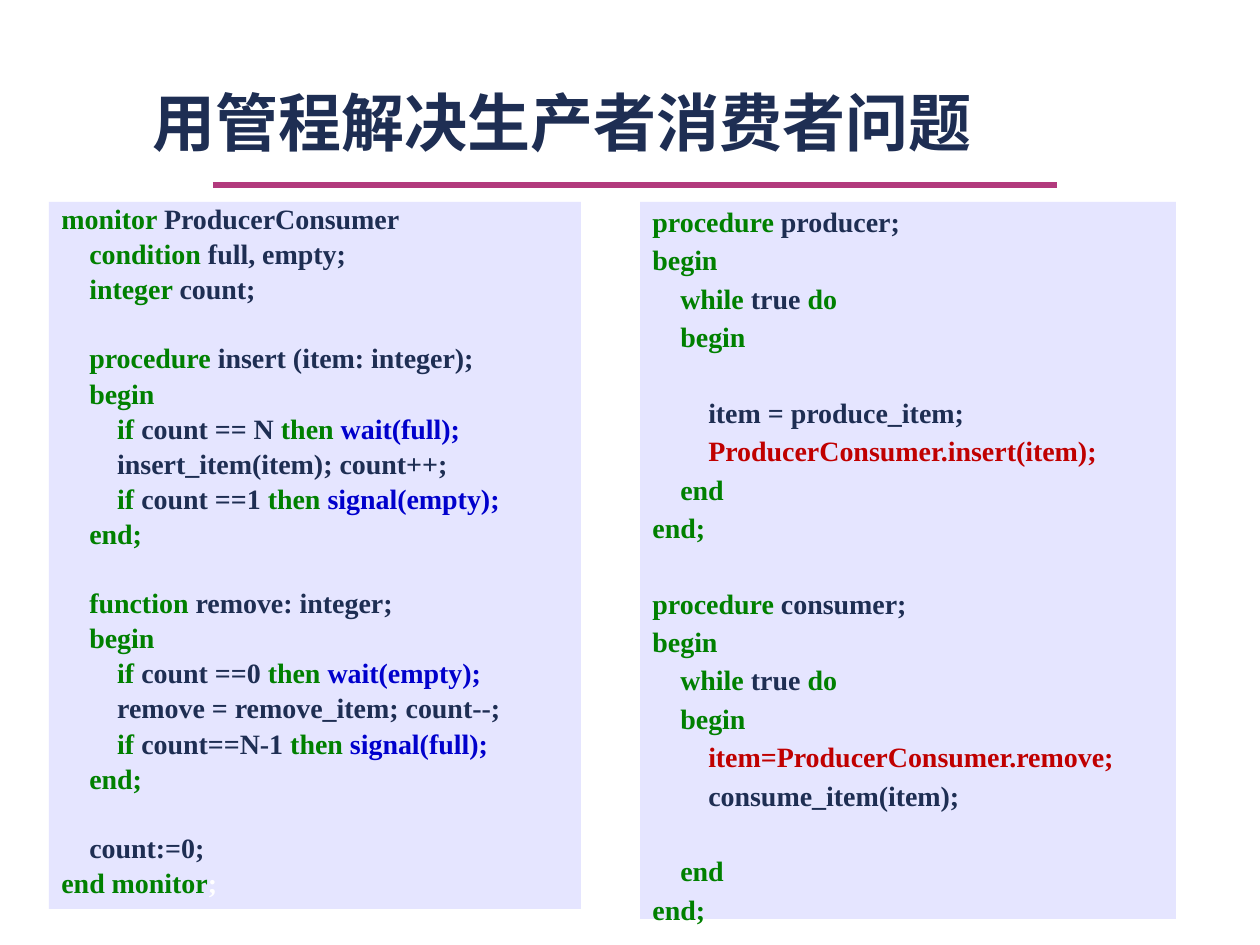
import pptx
import pptx.util
import pptx.dml.color
import pptx.enum.text
import pptx.enum.shapes
from lxml import etree

KEY, INK, CALL, RED, PALE = "008000", "1E2E53", "0000CC", "C00000", "FFFFFF"
TITLE = "用管程解决生产者消费者问题"
GAP = ()
MONITOR = [
    (KEY, "monitor ", INK, "ProducerConsumer"),
    (KEY, "    condition ", INK, "full, empty;"),
    (KEY, "    integer ", INK, "count;"),
    GAP,
    (KEY, "    procedure ", INK, "insert (item: integer);"),
    (KEY, "    begin"),
    (KEY, "        if ", INK, "count == N ", KEY, "then ", CALL, "wait(full);"),
    (INK, "        insert_item(item); count++;"),
    (KEY, "        if ", INK, "count ==1 ", KEY, "then ", CALL, "signal(empty);"),
    (KEY, "    end;"),
    GAP,
    (KEY, "    function", INK, " remove: integer;"),
    (KEY, "    begin"),
    (KEY, "        if ", INK, "count ==0 ", KEY, "then ", CALL, "wait(empty);"),
    (INK, "        remove = remove_item; count--;"),
    (KEY, "        if ", INK, "count==N-1 ", KEY, "then ", CALL, "signal(full);"),
    (KEY, "    end;"),
    GAP,
    (INK, "    count:=0;"),
    (KEY, "end monitor", PALE, ";"),
]
LOOP = [
    (KEY, "begin"),
    (KEY, "    while ", INK, "true ", KEY, "do"),
    (KEY, "    begin"),
]
CLOSE = [(KEY, "    end"), (KEY, "end;")]
CLIENTS = [
    (KEY, "procedure ", INK, "producer;"),
    *LOOP,
    GAP,
    (INK, "        item = produce_item;"),
    (RED, "        ProducerConsumer.insert(item);"),
    *CLOSE,
    GAP,
    (KEY, "procedure ", INK, "consumer;"),
    *LOOP,
    (RED, "        item=ProducerConsumer.remove;"),
    (INK, "        consume_item(item);"),
    GAP,
    *CLOSE,
]
PANELS = [
    ((49, 202, 532, 707), 0.8, 19.4, MONITOR),
    ((640, 202, 536, 717), 0.9, 21.2, CLIENTS),
]

Pt = pptx.util.Pt
ANCHOR = pptx.enum.text.MSO_ANCHOR
ALIGN = pptx.enum.text.PP_ALIGN


def px(*nums):
    return [round(n * 914400 / 126) for n in nums]


def hue(code):
    return pptx.dml.color.RGBColor.from_string(code)


def style(font, face, size, code):
    font.name, font.size, font.bold = face, Pt(size), True
    font.color.rgb = hue(code)


def add_title(slide):
    frame = slide.shapes.add_textbox(*px(63, 44, 998, 121)).text_frame
    frame.word_wrap = True
    frame.vertical_anchor = ANCHOR.BOTTOM
    frame.text = TITLE
    para = frame.paragraphs[0]
    para.alignment = ALIGN.CENTER
    style(para.runs[0].font, "Arial", 36, INK)


def add_rule(slide):
    kind = pptx.enum.shapes.MSO_CONNECTOR.STRAIGHT
    rule = slide.shapes.add_connector(kind, *px(213, 185, 1057, 185))
    rule.line.color.rgb = hue("B23A7D")
    rule.line.width = Pt(3)
    etree.SubElement(rule.element.spPr, pptx.oxml.ns.qn("a:effectLst"))


def add_panel(slide, rect, pitch, skip, code):
    kind = pptx.enum.shapes.MSO_SHAPE.RECTANGLE
    panel = slide.shapes.add_shape(kind, *px(*rect))
    panel.shadow.inherit = False
    panel.fill.solid()
    panel.fill.fore_color.rgb = hue("E5E5FF")
    panel.line.fill.background()
    frame = panel.text_frame
    frame.word_wrap = True
    frame.vertical_anchor = ANCHOR.TOP
    lines = [line for line in code if line]
    frame.text = "\n".join("".join(line[1::2]) for line in lines)
    paras = iter(frame.paragraphs)
    gap = 0
    for line in code:
        if not line:
            gap = skip
            continue
        para = next(paras)
        para.alignment = ALIGN.LEFT
        para.line_spacing = pitch
        para.space_before, para.space_after = Pt(gap), Pt(4.7)
        gap = 0
        para.clear()
        for code_hue, text in zip(line[::2], line[1::2]):
            run = para.add_run()
            run.text = text
            style(run.font, "Times New Roman", 16, code_hue)


def main():
    deck = pptx.Presentation()
    deck.slide_width, deck.slide_height = px(1260, 945)
    slide = deck.slides.add_slide(deck.slide_layouts[6])
    add_rule(slide)
    add_title(slide)
    for panel in PANELS:
        add_panel(slide, *panel)
    deck.save("out.pptx")


if __name__ == "__main__":
    main()
